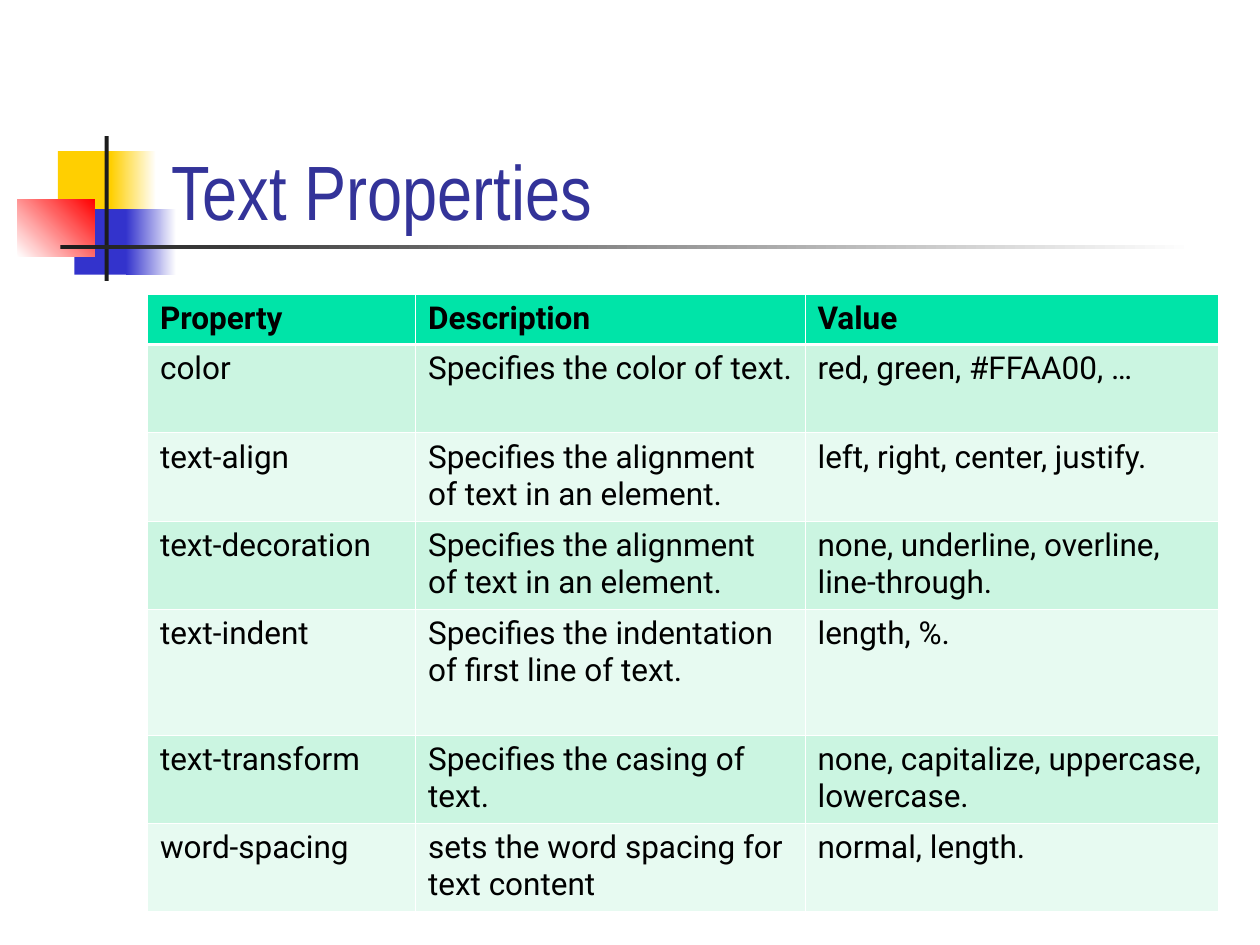
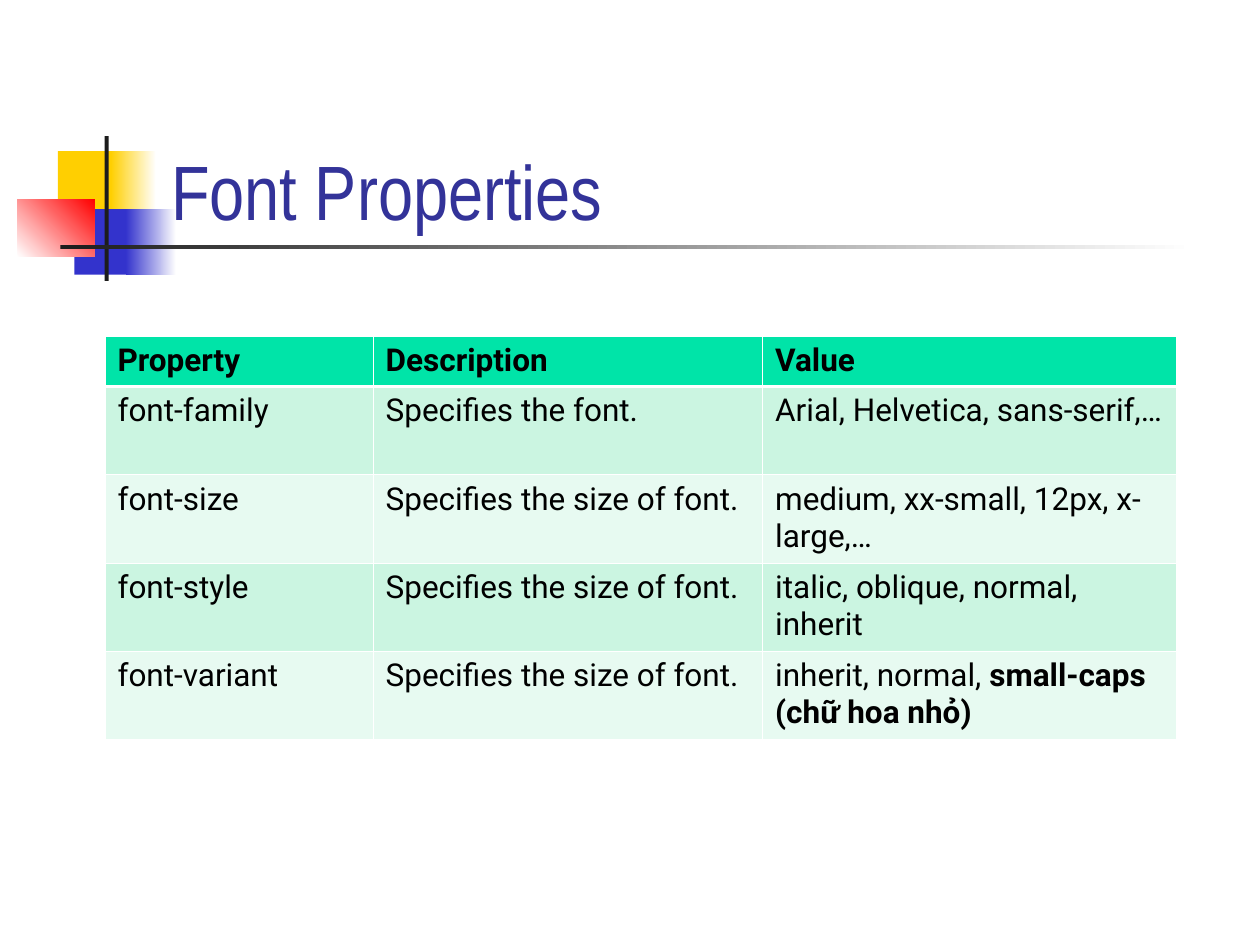
from lxml import etree
from pptx import Presentation
from pptx.dml.color import RGBColor
from pptx.enum.shapes import MSO_SHAPE
from pptx.enum.text import MSO_ANCHOR
from pptx.oxml.ns import qn
from pptx.util import Pt

RECTANGLE = MSO_SHAPE.RECTANGLE
BOTTOM = MSO_ANCHOR.BOTTOM

COLORS = {
    "white": "FFFFFF", "yellow": "FFCF01", "blue": "3333CC", "red": "FF0000",
    "ink": "1C1C1C", "title": "333399", "text": "000000",
    "header": "00E4A8", "odd_row": "CBF5E1", "even_row": "E7FAF1",
}
TITLE_FONT, TABLE_FONT = "Arial Narrow", "Roboto"
BLANK_LAYOUT = 6

MOTIF_BOX = (10.08, 77.76)
TITLE_BOX = (90.72, 48.24, 613.44, 90)
# left, top, width, height within the motif; start colour, end colour, angle
MOTIF_PARTS = [
    (23.04, 8.64, 34.56, 37.44, "yellow", None, 0),
    (53.28, 8.64, 25.92, 37.44, "yellow", "white", 0),
    (32.4, 41.76, 33.12, 37.44, "blue", None, 0),
    (61.92, 41.76, 28.8, 37.44, "blue", "white", 0),
    (0, 36, 43.92, 33.12, "white", "red", 45),
    (49.68, 0, 2.4, 82.8, "ink", None, 0),
    (24.48, 62.4, 648, 2.4, "ink", "white", 0),
]

COLUMN_WIDTHS = (153.2, 222.6, 236.2)
HEADER_HEIGHT, ROW_HEIGHT, TALL_ROW_HEIGHT = 28.8, 50.4, 72
THIN_BORDER, HEADER_BORDER = 0.45, 1.47
HEADINGS = ("Property", "Description", "Value")

TEXT_PROPERTIES = [
    ("color", "Specifies the color of text.", "red, green, #FFAA00, …"),
    ("text-align", "Specifies the alignment\nof text in an element.",
     "left, right, center, justify."),
    ("text-decoration", "Specifies the alignment\nof text in an element.",
     "none, underline, overline, line-through."),
    ("text-indent", "Specifies the indentation of first line of text.",
     "length, %."),
    ("text-transform", "Specifies the casing of text.",
     "none, capitalize, uppercase, lowercase."),
    ("word-spacing", "sets the word spacing for text content",
     "normal, length."),
]
FONT_PROPERTIES = [
    ("font-family", "Specifies the font.", "Arial, Helvetica, sans-serif,…"),
    ("font-size", "Specifies the size of font.",
     "medium, xx-small, 12px, x-large,…"),
    ("font-style", "Specifies the size of font.",
     "italic, oblique, normal, inherit"),
    ("font-variant", "Specifies the size of font.", "inherit, normal, "),
]
SMALL_CAPS = "small-caps (chữ hoa nhỏ)"


def color(name):
    return RGBColor.from_string(COLORS[name])


def style_run(span, font_name, size, color_name, bold=False):
    span.font.name = font_name
    span.font.size = Pt(size)
    span.font.bold = bold
    span.font.color.rgb = color(color_name)


def add_motif(page, box):
    """Draw the overlapping squares and the crossing lines."""
    for left, top, width, height, start, end, angle in MOTIF_PARTS:
        part = page.shapes.add_shape(RECTANGLE, Pt(box[0] + left), Pt(box[1] + top),
                                     Pt(width), Pt(height))
        part.shadow.inherit = False
        part.line.fill.background()
        if end is None:
            part.fill.solid()
            part.fill.fore_color.rgb = color(start)
        else:
            part.fill.gradient()
            part.fill.gradient_angle = angle
            for stop, name in zip(part.fill.gradient_stops, (start, end)):
                stop.color.rgb = color(name)


def add_title(page, box, title):
    frame = page.shapes.add_textbox(*map(Pt, box)).text_frame
    frame.word_wrap = True
    frame.vertical_anchor = BOTTOM
    frame.text = title
    style_run(frame.paragraphs[0].runs[0], TITLE_FONT, 44, "title")


def set_borders(cell, top, bottom):
    properties = cell._tc.get_or_add_tcPr()
    widths = {"L": THIN_BORDER, "R": THIN_BORDER, "T": top, "B": bottom}
    for side, width in widths.items():
        line = etree.SubElement(properties, qn(f"a:ln{side}"), w=str(Pt(width)))
        fill = etree.SubElement(line, qn("a:solidFill"))
        etree.SubElement(fill, qn("a:srgbClr"), val=COLORS["white"])


def fill_cell(cell, text, row):
    set_borders(cell, HEADER_BORDER if row == 1 else THIN_BORDER,
                HEADER_BORDER if row == 0 else THIN_BORDER)
    cell.fill.solid()
    band = "header" if row == 0 else "odd_row" if row % 2 else "even_row"
    cell.fill.fore_color.rgb = color(band)
    cell.text_frame.text = text
    for para in cell.text_frame.paragraphs:
        for span in para.runs:
            style_run(span, TABLE_FONT, 18, "text", bold=row == 0)


def add_property_table(page, left, top, properties, tall_row=None):
    heights = [HEADER_HEIGHT] + [ROW_HEIGHT] * len(properties)
    if tall_row is not None:
        heights[tall_row] = TALL_ROW_HEIGHT
    table = page.shapes.add_table(
        len(heights), len(HEADINGS), Pt(left), Pt(top),
        Pt(sum(COLUMN_WIDTHS)), Pt(sum(heights))).table
    for column, width in zip(table.columns, COLUMN_WIDTHS):
        column.width = Pt(width)
    for row, texts in enumerate([HEADINGS, *properties]):
        table.rows[row].height = Pt(heights[row])
        for column, text in enumerate(texts):
            fill_cell(table.cell(row, column), text, row)
    return table


def add_page(deck, title):
    page = deck.slides.add_slide(deck.slide_layouts[BLANK_LAYOUT])
    add_motif(page, MOTIF_BOX)
    add_title(page, TITLE_BOX, title)
    return page


def main():
    deck = Presentation()
    deck.slide_width, deck.slide_height = Pt(720), Pt(540)

    page = add_page(deck, "Text Properties")
    add_property_table(page, 84.24, 168, TEXT_PROPERTIES, tall_row=4)

    page = add_page(deck, "Font Properties")
    table = add_property_table(page, 60, 192, FONT_PROPERTIES)
    variant_values = table.cell(len(FONT_PROPERTIES), 2).text_frame.paragraphs[0]
    span = variant_values.add_run()
    span.text = SMALL_CAPS
    style_run(span, TABLE_FONT, 18, "text", bold=True)

    deck.save("out.pptx")


if __name__ == "__main__":
    main()
